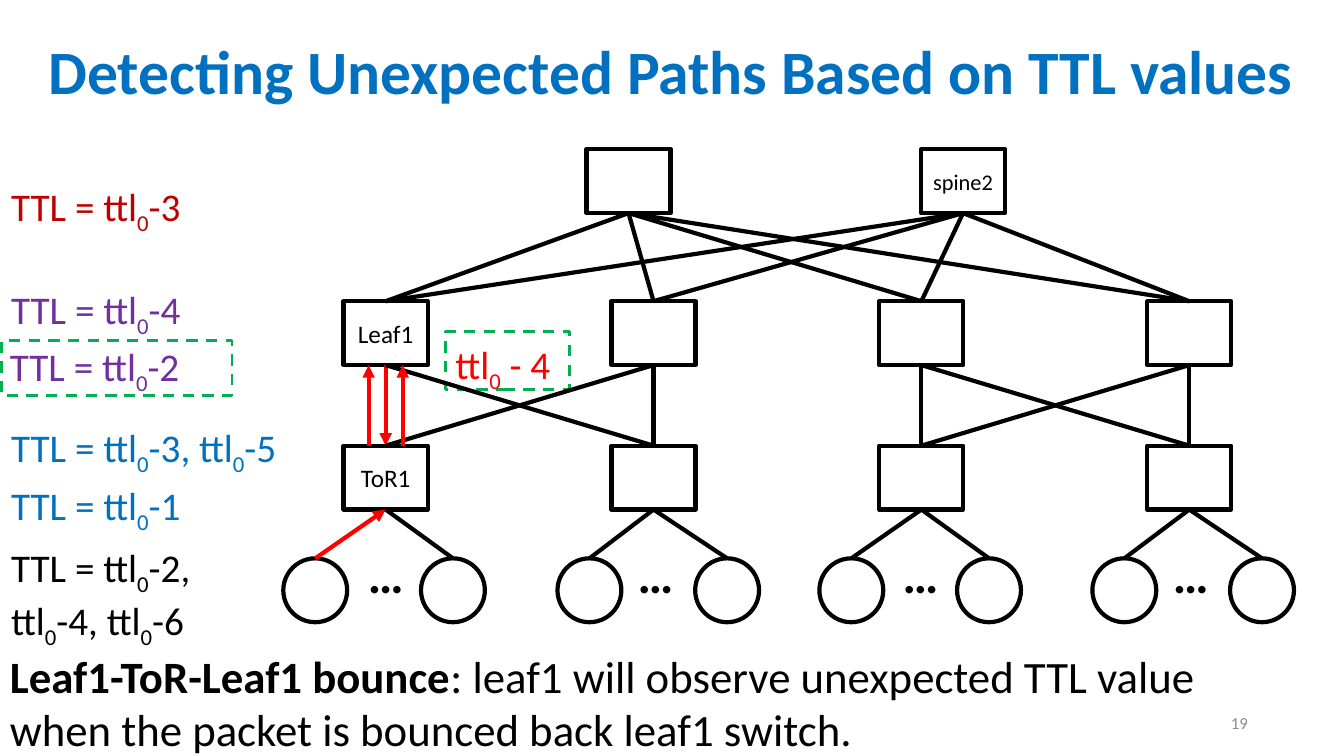
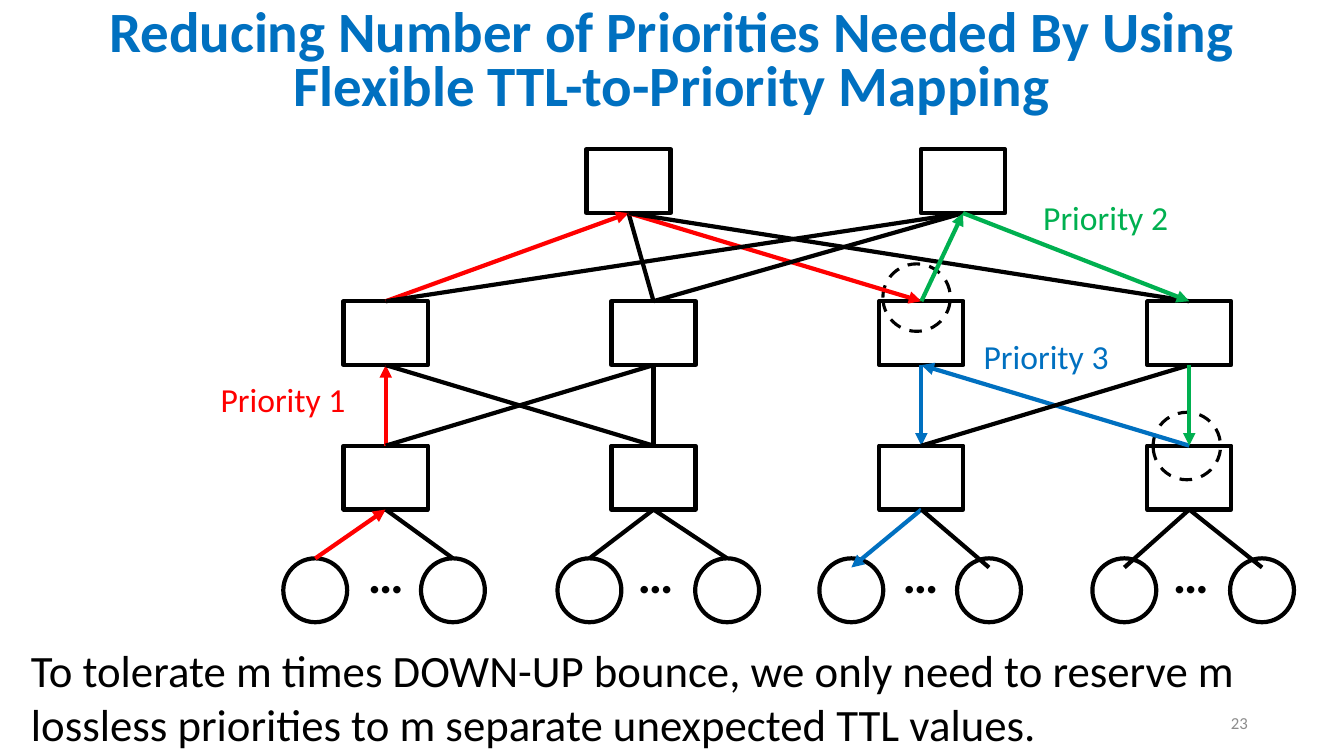
import itertools

import pptx
import pptx.dml.color
import pptx.enum.dml
import pptx.enum.shapes
import pptx.enum.text
import pptx.oxml.ns
import pptx.oxml.xmlchemy
import pptx.util
import lxml.etree

Cm = pptx.util.Cm
RECTANGLE = pptx.enum.shapes.MSO_SHAPE.RECTANGLE
OVAL = pptx.enum.shapes.MSO_SHAPE.OVAL
ALIGN = pptx.enum.text.PP_ALIGN
ANCHOR = pptx.enum.text.MSO_ANCHOR


class Theme:
    font = "Calibri"
    black = "000000"
    grey = "8C8C8C"
    blue = "0070C0"
    red = "FF0000"
    dark_red = "C00000"
    purple = "7030A0"
    green = "00B050"
    body_size = 32
    dots_size = 36
    number_size = 12
    line_width = 3


def add_text(page, place, text, size, color, bold=False, accent="subscript",
             wrap=True, align=ALIGN.LEFT, anchor=ANCHOR.TOP, spacing=None):
    box = page.shapes.add_textbox(*[Cm(length) for length in place])
    frame = box.text_frame
    frame.word_wrap = wrap
    frame.vertical_anchor = anchor
    para = frame.paragraphs[0]
    para.alignment = align
    para.line_spacing = spacing
    for index, piece in enumerate(text.split("|")):
        if not piece:
            continue
        span = para.add_run()
        span.text = piece
        span.font.name = Theme.font
        span.font.size = pptx.util.Pt(size)
        span.font.bold = bold
        span.font.color.rgb = pptx.dml.color.RGBColor.from_string(color)
        if index % 2 and accent == "bold":
            span.font.bold = True
        elif index % 2:
            span._r.get_or_add_rPr().set("baseline", "-25000")


def add_line(page, start, finish, color, arrow):
    line = page.shapes.add_connector(
        pptx.enum.shapes.MSO_CONNECTOR.STRAIGHT, *start, *finish)
    line.line.color.rgb = pptx.dml.color.RGBColor.from_string(color)
    line.line.width = pptx.util.Pt(Theme.line_width)
    properties = line._element.spPr
    if arrow:
        outline = properties.find(pptx.oxml.ns.qn("a:ln"))
        lxml.etree.SubElement(outline, pptx.oxml.ns.qn("a:tailEnd"), type="triangle")
    lxml.etree.SubElement(properties, pptx.oxml.ns.qn("a:effectLst"))
    return line


box_width, box_height, host_size = 2.12, 1.61, 1.61
pod_centers = [9.72 + 6.75 * pod for pod in range(4)]
spine_top, leaf_top, tor_top, host_top = 3.76, 7.59, 11.23, 14.07
host_lefts = [7.14, 14.05, 20.65, 27.53]
host_step = 3.47
dots_lefts = [9.02, 15.82, 22.5, 29.31]

nodes = {}
for tier, top, centers in [
    ("spine", spine_top, [15.84, 24.27]),
    ("leaf", leaf_top, pod_centers),
    ("tor", tor_top, pod_centers),
]:
    for number, center in enumerate(centers, 1):
        place = (center - box_width / 2, top, box_width, box_height)
        nodes[f"{tier}{number}"] = (RECTANGLE, place)
for pod, side in itertools.product(range(4), range(2)):
    place = (host_lefts[pod] + side * host_step, host_top, host_size, host_size)
    nodes[f"host{2 * pod + side + 1}"] = (OVAL, place)

links = [(f"spine{spine}", f"leaf{leaf}")
         for spine, leaf in itertools.product((1, 2), (1, 2, 3, 4))]
for group in [(1, 2), (3, 4)]:
    links += [(f"leaf{leaf}", f"tor{tor}") for leaf, tor in itertools.product(group, group)]
links += [(f"tor{(host + 1) // 2}", f"host{host}") for host in range(1, 9)]

pages = [
    {
        "number": "19",
        "title": "Detecting Unexpected Paths Based on TTL values",
        "title_style": (3.78, 44, 0.9),
        "names": {"spine2": ("spine2", 16), "leaf1": ("Leaf1", 18), "tor1": ("ToR1", 18)},
        "routes": {("host1", "tor1"): Theme.red, ("leaf1", "tor1"): Theme.red},
        "side_arrows": [pod_centers[0] - 0.43, pod_centers[0] + 0.43],
        "low_hosts": [],
        "host_drop": 0,
        "label_size": 28,
        "labels": [
            ("TTL = ttl|0|-2, ttl|0|-4, ttl|0|-6", (0.03, 13.56, 6.32, 2.64), Theme.black),
            ("TTL = ttl|0|-1", (0.03, 12.01, 4.9, 1.45), Theme.blue),
            ("TTL = ttl|0|-3, ttl|0|-5", (0.03, 10.54, 7.42, 1.45), Theme.blue),
            ("TTL = ttl|0|-3", (0.03, 4.47, 5.13, 1.45), Theme.dark_red),
            ("TTL = ttl|0|-2", (0, 8.51, 4.9, 1.45), Theme.purple),
            ("TTL = ttl|0|-4", (0.03, 7.06, 4.9, 1.45), Theme.purple),
            ("ttl|0| - 4", (11.23, 8.46, 3.12, 1.45), Theme.red),
        ],
        "markers": [
            (RECTANGLE, (0.03, 8.59, 5.82, 1.37), Theme.green, 2),
            (RECTANGLE, (11.23, 8.36, 3.12, 1.45), Theme.green, 2),
        ],
        "body": "|Leaf1-ToR-Leaf1 bounce|: leaf1 will observe unexpected TTL value "
                "when the packet is bounced back leaf1 switch.",
        "body_corner": (0, 16.21),
    },
    {
        "number": "23",
        "title": "Reducing Number of Priorities Needed By Using "
                 "Flexible TTL-to-Priority Mapping",
        "title_style": (3.18, 40.7, 0.8),
        "names": {},
        "routes": {
            ("host1", "tor1"): Theme.red,
            ("tor1", "leaf1"): Theme.red,
            ("leaf1", "spine1"): Theme.red,
            ("spine1", "leaf3"): Theme.red,
            ("leaf3", "spine2"): Theme.green,
            ("spine2", "leaf4"): Theme.green,
            ("leaf4", "tor4"): Theme.green,
            ("tor4", "leaf3"): Theme.blue,
            ("leaf3", "tor3"): Theme.blue,
            ("tor3", "host5"): Theme.blue,
        },
        "side_arrows": [],
        "low_hosts": ["host5", "host6", "host7", "host8"],
        "host_drop": 0.23,
        "label_size": 24,
        "labels": [
            ("Priority 1", (5.31, 9.42, 3.68, 1.27), Theme.red),
            ("Priority 2", (26.04, 4.83, 3.68, 1.27), Theme.green),
            ("Priority 3", (24.54, 8.33, 3.68, 1.27), Theme.blue),
        ],
        "markers": [
            (OVAL, (22.25, 6.65, 1.7, 1.7), Theme.black, 2.25),
            (OVAL, (29.06, 10.39, 1.7, 1.7), Theme.black, 2.25),
        ],
        "body": "To tolerate m times DOWN-UP bounce, we only need to reserve m "
                "lossless priorities to m separate unexpected TTL values.",
        "body_corner": (0.53, 16.08),
    },
]

deck = pptx.Presentation()
deck.slide_width = Cm(33.87)
deck.slide_height = Cm(19.05)

for content in pages:
    page = deck.slides.add_slide(deck.slide_layouts[6])
    add_text(page, (24.08, 17.7, 7.62, 1.02), content["number"], Theme.number_size,
             Theme.grey, align=ALIGN.RIGHT, anchor=ANCHOR.MIDDLE)

    outlines = [(name, kind, place, Theme.black, Theme.line_width, False)
                for name, (kind, place) in nodes.items()]
    outlines += [(None, *marker, True) for marker in content["markers"]]
    shapes = {}
    for name, kind, place, color, width, dashed in outlines:
        shape = page.shapes.add_shape(kind, *[Cm(length) for length in place])
        shape.shadow.inherit = False
        shape.fill.background()
        shape.line.color.rgb = pptx.dml.color.RGBColor.from_string(color)
        shape.line.width = pptx.util.Pt(width)
        if dashed:
            shape.line.dash_style = pptx.enum.dml.MSO_LINE.DASH
        if name in content["names"]:
            text, size = content["names"][name]
            frame = shape.text_frame
            frame.text = text
            frame.word_wrap = False
            frame.vertical_anchor = ANCHOR.MIDDLE
            frame.paragraphs[0].alignment = ALIGN.CENTER
            span = frame.paragraphs[0].runs[0]
            span.font.name = Theme.font
            span.font.size = pptx.util.Pt(size)
            span.font.color.rgb = pptx.dml.color.RGBColor.from_string(Theme.black)
        shapes[name] = shape

    for upper, lower in links:
        routes = content["routes"]
        upward = (lower, upper) in routes
        color = routes.get((lower, upper)) or routes.get((upper, lower))
        top, bottom = shapes[upper], shapes[lower]
        low = lower in content["low_hosts"]
        drop = Cm(content["host_drop"]) if low else 0
        ends = [(top.left + top.width // 2, top.top + top.height),
                (bottom.left + bottom.width // 2, bottom.top + drop)]
        if upward:
            ends.reverse()
        line = add_line(page, *ends, color or Theme.black, color is not None)
        join_top, join_bottom = line.begin_connect, line.end_connect
        if upward:
            join_top, join_bottom = join_bottom, join_top
        join_top(top, 2)
        if not low:
            join_bottom(bottom, 0)

    for left in content["side_arrows"]:
        add_line(page, (Cm(left), Cm(tor_top)), (Cm(left), Cm(leaf_top + box_height)),
                 Theme.red, True)

    for left in dots_lefts:
        add_text(page, (left, 13.56, 1.42, 1.8), "…", Theme.dots_size, Theme.black,
                 bold=True, wrap=False)

    for text, place, color in content["labels"]:
        add_text(page, place, text, content["label_size"], color, wrap=place[3] > 2)

    add_text(page, (*content["body_corner"], 32.59, 3), content["body"],
             Theme.body_size, Theme.black, accent="bold")
    height, size, spacing = content["title_style"]
    add_text(page, (0.53, 0, 32.79, height), content["title"], size, Theme.blue,
             bold=True, align=ALIGN.CENTER, anchor=ANCHOR.MIDDLE, spacing=spacing)

deck.save("out.pptx")
